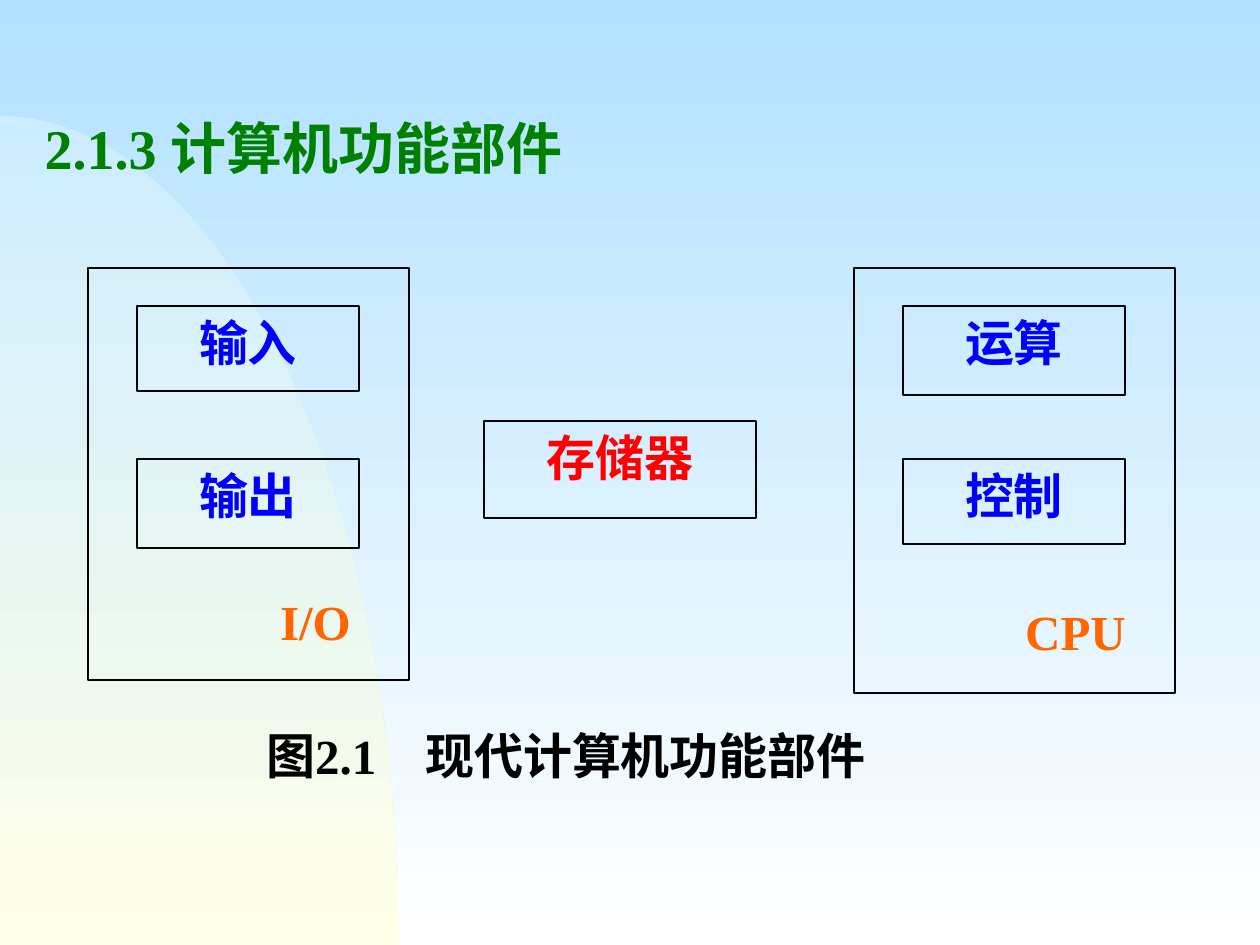
from math import cos, pi, sin

from pptx import Presentation
from pptx.dml.color import RGBColor
from pptx.enum.shapes import MSO_SHAPE
from pptx.enum.text import MSO_ANCHOR, MSO_AUTO_SIZE, PP_ALIGN
from pptx.util import Emu, Pt

EMU_PER_PX = 914400 / 126
WIDTH, HEIGHT = 1260, 945

SKY = RGBColor(0xB1, 0xE1, 0xFF)
WHITE = RGBColor(0xFF, 0xFF, 0xFF)
PALE_BLUE = RGBColor(0xCC, 0xEC, 0xFF)
PALE_YELLOW = RGBColor(0xFF, 0xFF, 0xE7)
BLACK = RGBColor(0x00, 0x00, 0x00)
GREEN = RGBColor(0x00, 0x80, 0x00)
BLUE = RGBColor(0x00, 0x00, 0xFF)
RED = RGBColor(0xFF, 0x00, 0x00)
ORANGE = RGBColor(0xFF, 0x66, 0x00)


def px(length):
    return Emu(round(length * EMU_PER_PX))


class SlideBuilder:
    font_name = "Times New Roman"
    title_size = Pt(32)
    label_size = Pt(28)
    line_width = Pt(0.75)

    def __init__(self, page):
        self.page = page

    def gradient(self, fill, top, bottom):
        fill.gradient()
        fill.gradient_angle = 270
        for stop, color in zip(fill.gradient_stops, (top, bottom)):
            stop.color.rgb = color

    def set_text(self, shape, text, size, color, align, anchor=MSO_ANCHOR.TOP):
        frame = shape.text_frame
        frame.text = text
        frame.word_wrap = True
        frame.auto_size = MSO_AUTO_SIZE.NONE
        frame.vertical_anchor = anchor
        paragraph = frame.paragraphs[0]
        paragraph.alignment = align
        for span in paragraph.runs:
            span.font.name = self.font_name
            span.font.size = size
            span.font.bold = True
            span.font.color.rgb = color

    def title(self, text, left, top, width, height):
        title = self.page.shapes.title
        title.left, title.top = px(left), px(top)
        title.width, title.height = px(width), px(height)
        self.set_text(title, text, self.title_size, GREEN, PP_ALIGN.LEFT, MSO_ANCHOR.MIDDLE)

    def quarter_ellipse(self, width, top, steps=90):
        """Fill a quarter ellipse centred on the bottom left corner."""
        angles = [pi / 2 * step / steps for step in range(steps + 1)]
        radius = HEIGHT - top
        arc = [(px(width * sin(a)), px(HEIGHT - radius * cos(a))) for a in angles]
        outline = self.page.shapes.build_freeform(*arc[0])
        outline.add_line_segments(arc[1:] + [(0, px(HEIGHT))], close=True)
        shape = outline.convert_to_shape()
        shape.shadow.inherit = False
        shape.line.fill.background()
        self.gradient(shape.fill, PALE_BLUE, PALE_YELLOW)
        # Keep the decoration behind the title
        self.page.shapes.title.element.addprevious(shape.element)

    def box(self, left, top, width, height, text="", color=BLUE):
        box = self.page.shapes.add_shape(
            MSO_SHAPE.RECTANGLE, px(left), px(top), px(width), px(height))
        box.shadow.inherit = False
        box.fill.background()
        box.line.color.rgb = BLACK
        box.line.width = self.line_width
        if text:
            self.set_text(box, text, self.label_size, color, PP_ALIGN.CENTER)

    def label(self, text, left, top, width, height, color):
        label = self.page.shapes.add_textbox(px(left), px(top), px(width), px(height))
        self.set_text(label, text, self.label_size, color, PP_ALIGN.CENTER)


def main():
    deck = Presentation()
    deck.slide_width, deck.slide_height = px(WIDTH), px(HEIGHT)
    page = deck.slides.add_slide(deck.slide_layouts[5])
    builder = SlideBuilder(page)

    # Background and title
    builder.gradient(page.background.fill, SKY, WHITE)
    builder.quarter_ellipse(width=399, top=116)
    builder.title("2.1.3 计算机功能部件", 32, 105, 651, 84)

    # I/O and CPU units: left edge, height, then name and height of each part
    units = [
        (88, 412, [("输入", 85), ("输出", 89)]),
        (854, 425, [("运算", 89), ("控制", 85)]),
    ]
    for left, height, parts in units:
        builder.box(left, 268, 321, height)
        for row, (name, part_height) in enumerate(parts):
            builder.box(left + 49, 306 + 153 * row, 222, part_height, name)
    builder.label("I/O", 251, 585, 129, 72, ORANGE)
    builder.label("CPU", 994, 595, 163, 74, ORANGE)

    # Memory
    builder.box(484, 421, 272, 97, "存储器", RED)

    # Caption
    builder.label("图2.1　现代计算机功能部件", 229, 719, 674, 88, BLACK)

    deck.save("out.pptx")


if __name__ == "__main__":
    main()
